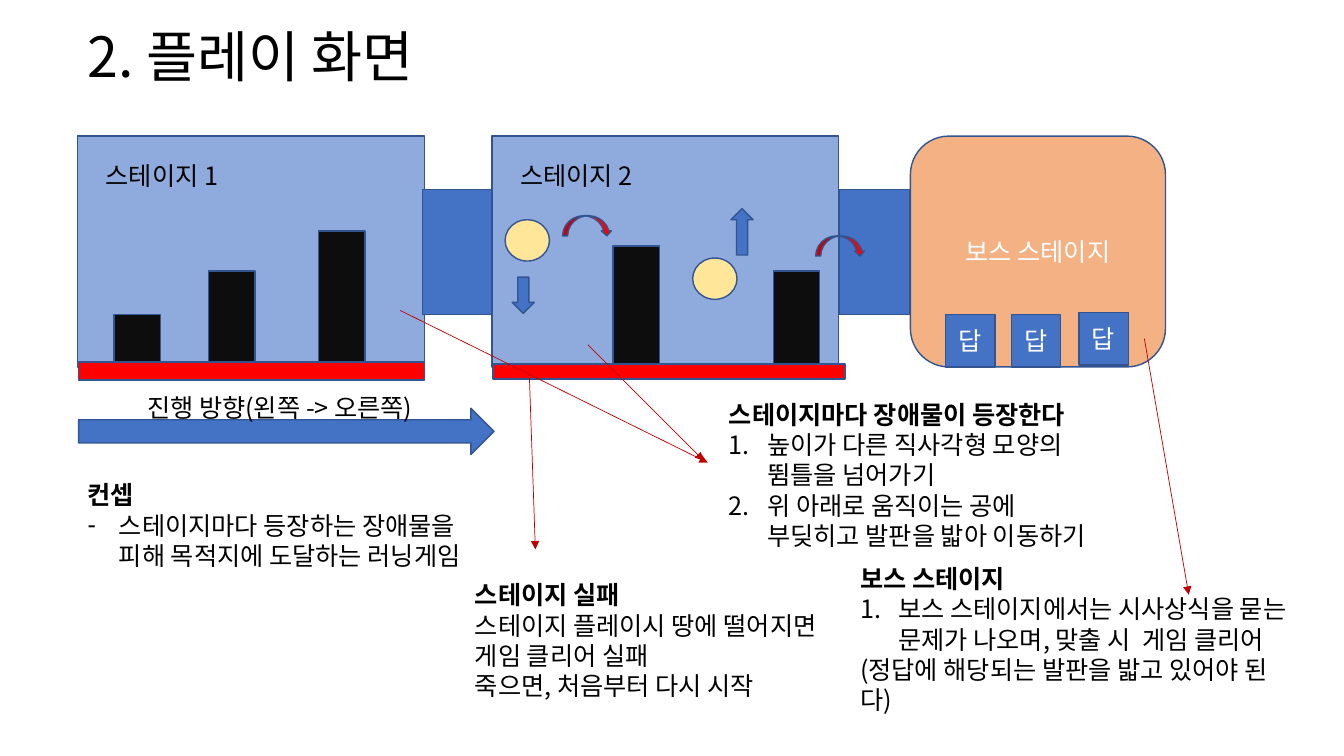
from lxml.etree import SubElement
from pptx import Presentation
from pptx.dml.color import RGBColor
from pptx.enum.shapes import MSO_CONNECTOR, MSO_SHAPE
from pptx.enum.text import MSO_ANCHOR, MSO_AUTO_SIZE, PP_ALIGN
from pptx.oxml.ns import qn
from pptx.util import Pt

PX = 9144
FONT = "Noto Sans CJK KR"
COLORS = {
    "stage": "8FAADC",
    "blue": "4472C4",
    "boss": "F4B183",
    "hurdle": "0D0D0D",
    "ball": "FFE699",
    "red": "FF0000",
    "outline": "325491",
    "pointer": "C00000",
    "black": "000000",
    "white": "FFFFFF",
}
NUMBER = ("buAutoNum", {"type": "arabicPeriod"}, 38)
DASH = ("buChar", {"char": "-"}, 31)
PLAIN = ("buNone", {}, 0)

NOTES = [
    ((77, 471, 396, 131), "컨셉", [
        (DASH, "스테이지마다 등장하는 장애물을 피해 목적지에 도달하는 러닝게임"),
    ]),
    ((713, 391, 400, 162), "스테이지마다 장애물이 등장한다", [
        (NUMBER, "높이가 다른 직사각형 모양의 뜀틀을 넘어가기"),
        (NUMBER, "위 아래로 움직이는 공에 부딪히고 발판을 밟아 이동하기"),
    ]),
    ((461, 570, 368, 131), "스테이지 실패", [
        (PLAIN, "스테이지 플레이시 땅에 떨어지면 게임 클리어 실패"),
        (PLAIN, "죽으면, 처음부터 다시 시작"),
    ]),
    ((843, 554, 452, 192), "보스 스테이지", [
        (NUMBER, "보스 스테이지에서는 시사상식을 묻는 문제가 나오며, 맞출 시  게임 클리어"),
        (PLAIN, "(정답에 해당되는 발판을 밟고 있어야 된다)"),
    ]),
]


def emu(*lengths):
    return [v * PX for v in lengths]


def rgb(name):
    return RGBColor.from_string(COLORS[name])


def add_run(p, text, color="black", size=18, bold=False):
    r = p.add_run()
    r.text = text
    r.font.size = Pt(size)
    r.font.bold = bold
    r.font.name = FONT
    r.font.color.rgb = rgb(color)
    SubElement(r.font._element, qn("a:ea"), typeface=FONT)


def add_box(s, kind, box, fill, text=None):
    sp = s.shapes.add_shape(kind, *emu(*box))
    sp.shadow.inherit = False
    sp.fill.solid()
    sp.fill.fore_color.rgb = rgb(fill)
    sp.line.color.rgb = rgb("outline")
    sp.line.width = Pt(1)
    if text:
        tf = sp.text_frame
        tf.vertical_anchor = MSO_ANCHOR.MIDDLE
        p = tf.paragraphs[0]
        p.alignment = PP_ALIGN.CENTER
        add_run(p, text, "white")


def add_label(s, box, text):
    tf = s.shapes.add_textbox(*emu(*box)).text_frame
    tf.word_wrap = True
    add_run(tf.paragraphs[0], text)


def add_pointer(s, x1, y1, x2, y2):
    cn = s.shapes.add_connector(MSO_CONNECTOR.STRAIGHT, *emu(x1, y1, x2, y2))
    cn.line.color.rgb = rgb("pointer")
    cn.line.width = Pt(0.5)
    SubElement(cn.line._get_or_add_ln(), qn("a:tailEnd"), type="triangle")
    SubElement(cn._element.spPr, qn("a:effectLst"))


def place(ph, box, anchor):
    ph.left, ph.top, ph.width, ph.height = emu(*box)
    tf = ph.text_frame
    tf.word_wrap = True
    tf.auto_size = MSO_AUTO_SIZE.NONE
    tf.vertical_anchor = anchor
    return tf


def set_title(s, text):
    tf = place(s.shapes.title, (77, 23, 1150, 72), MSO_ANCHOR.MIDDLE)
    p = tf.paragraphs[0]
    p.alignment = PP_ALIGN.LEFT
    p.line_spacing = 0.9
    add_run(p, text, size=39.6)


def fill_paragraph(p, text, bullet, bold=False):
    tag, attrs, indent = bullet
    p.alignment = PP_ALIGN.LEFT
    p.space_before = Pt(0)
    pPr = p._p.get_or_add_pPr()
    pPr.set("marL", str(indent * PX))
    pPr.set("indent", str(-indent * PX))
    SubElement(pPr, qn(f"a:{tag}"), attrs)
    add_run(p, text, bold=bold)


def fill_note(ph, box, heading, items):
    tf = place(ph, box, MSO_ANCHOR.TOP)
    fill_paragraph(tf.paragraphs[0], heading, PLAIN, bold=True)
    for bullet, text in items:
        fill_paragraph(tf.add_paragraph(), text, bullet)


def draw_stages(s):
    for number, (x, corridor) in enumerate([(77, 419), (488, 832)], 1):
        add_box(s, MSO_SHAPE.RECTANGLE, (x, 135, 344, 229), "stage")
        add_box(s, MSO_SHAPE.RECTANGLE, (corridor, 188, 70, 124), "blue")
        add_label(s, (x + 18, 154, 160, 40), f"스테이지 {number}")
    for x, top in [(113, 312), (207, 269), (316, 229), (608, 244), (767, 269)]:
        add_box(s, MSO_SHAPE.RECTANGLE, (x, top, 46, 364 - top), "hurdle")
    for x, y in [(501, 218), (687, 256)]:
        add_box(s, MSO_SHAPE.FLOWCHART_CONNECTOR, (x, y, 44, 41), "ball")
    add_box(s, MSO_SHAPE.DOWN_ARROW, (508, 275, 22, 36), "blue")
    add_box(s, MSO_SHAPE.UP_ARROW, (725, 207, 22, 46), "blue")
    for x, y in [(558, 214), (809, 234)]:
        add_box(s, MSO_SHAPE.CURVED_DOWN_ARROW, (x, y, 49, 20), "red")
    for floor in [(78, 359, 343, 18), (489, 361, 349, 15)]:
        add_box(s, MSO_SHAPE.RECTANGLE, floor, "red")


def draw_boss_stage(s):
    add_box(s, MSO_SHAPE.FLOWCHART_ALTERNATE_PROCESS, (903, 135, 253, 229),
            "boss", "보스 스테이지")
    for x, y in [(938, 312), (1003, 312), (1070, 310)]:
        add_box(s, MSO_SHAPE.RECTANGLE, (x, y, 49, 52), "blue", "답")


def main():
    prs = Presentation()
    prs.slide_width, prs.slide_height = emu(1333, 750)
    s = prs.slides.add_slide(prs.slide_layouts.get_by_name("Comparison"))
    set_title(s, "2. 플레이 화면")
    for idx, note in enumerate(NOTES, 1):
        fill_note(s.placeholders[idx], *note)
    draw_stages(s)
    draw_boss_stage(s)
    add_box(s, MSO_SHAPE.RIGHT_ARROW, (78, 405, 412, 46), "blue")
    add_label(s, (136, 384, 339, 40), "진행 방향(왼쪽 -> 오른쪽)")
    for ends in [(397, 308, 702, 459), (583, 342, 698, 457),
                 (525, 372, 531, 545), (1135, 336, 1179, 590)]:
        add_pointer(s, *ends)
    prs.save("out.pptx")


if __name__ == "__main__":
    main()
